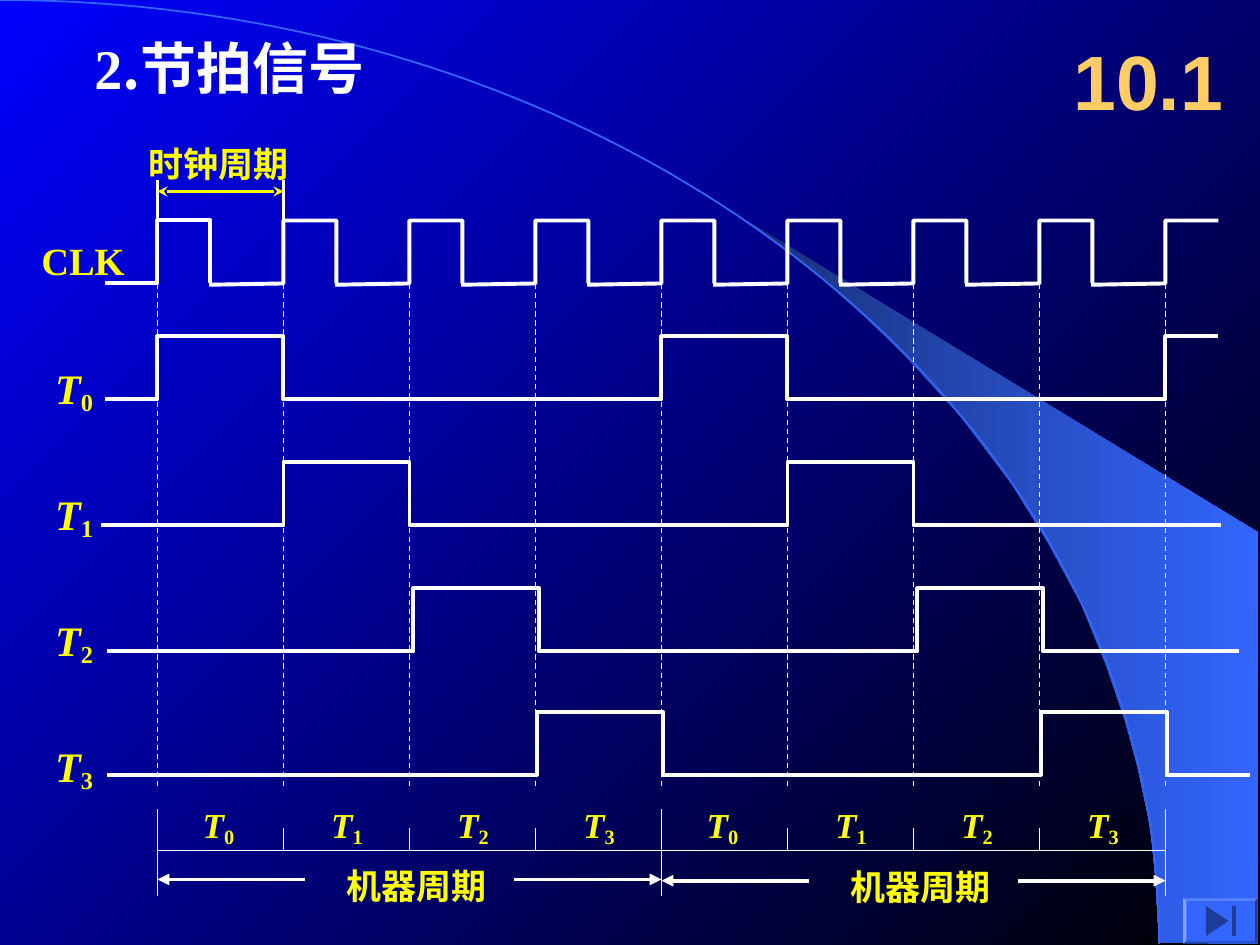
"""Build the beat signal timing slide on a grid with one column per clock cycle."""
from lxml.etree import SubElement
from pptx import Presentation
from pptx.dml.color import RGBColor
from pptx.enum.dml import MSO_LINE
from pptx.enum.shapes import MSO_CONNECTOR, MSO_SHAPE
from pptx.enum.text import MSO_ANCHOR
from pptx.oxml.ns import qn
from pptx.util import Inches, Pt

WHITE = RGBColor(0xFF, 0xFF, 0xFF)
YELLOW = RGBColor(0xFF, 0xFF, 0x00)
GOLD = RGBColor(0xFF, 0xCC, 0x66)
BLUE = RGBColor(0x00, 0x00, 0xFF)
BLACK = RGBColor(0x00, 0x00, 0x00)
SKY = RGBColor(0x33, 0x66, 0xFF)
NAVY = RGBColor(0x18, 0x2F, 0x76)
LATIN = "Times New Roman"
CHINESE = "Noto Sans CJK SC"
CELL = Inches(1)
ORIGIN = 1.25
CYCLES = 8
BEATS = 4
END = ORIGIN + CYCLES

deck = Presentation()
deck.slide_width, deck.slide_height = int(10 * CELL), int(7.5 * CELL)
slide = deck.slides.add_slide(deck.slide_layouts[6])
shapes = slide.shapes


def add_label(left, top, width, height, parts, size, color=YELLOW, font=LATIN):
    label = shapes.add_textbox(*(int(side * CELL) for side in (left, top, width, height)))
    label.text_frame.word_wrap = False
    paragraph = label.text_frame.paragraphs[0]
    for part in parts:
        run = paragraph.add_run()
        run.text = part
        run.font.name, run.font.size, run.font.bold = font, Pt(size), True
        run.font.color.rgb = color
        SubElement(run._r.get_or_add_rPr(), qn("a:ea"), typeface=CHINESE)
    if parts[0] == "T":
        symbol, index = paragraph.runs
        symbol.font.italic = True
        index._r.get_or_add_rPr().set("baseline", "-15000")
    return label


def add_rule(x1, y1, x2, y2, weight, color=WHITE, dash=None, head=None, tail=None):
    ends = (int(value * CELL) for value in (x1, y1, x2, y2))
    rule = shapes.add_connector(MSO_CONNECTOR.STRAIGHT, *ends)
    rule.line.color.rgb, rule.line.width = color, Pt(weight)
    if dash:
        rule.line.dash_style = dash
    for tag, arrow in (("a:headEnd", head), ("a:tailEnd", tail)):
        if arrow:
            SubElement(rule.line._get_or_add_ln(), qn(tag), type=arrow)
    SubElement(rule._element.spPr, qn("a:effectLst"))


beam_points = [
    (9.2, 7.48), (9.99, 7.49), (9.99, 4.23), (5.89, 1.73), (6.24, 1.99), (6.53, 2.22),
    (6.85, 2.5), (7.16, 2.8), (7.62, 3.3), (8.03, 3.84), (8.32, 4.31), (8.58, 4.79),
    (8.78, 5.28), (8.93, 5.72), (9.03, 6.09), (9.13, 6.56), (9.17, 6.96), (9.2, 7.48),
]

STEPS = 80
arc = []
for step in range(STEPS + 1):
    t = step / STEPS
    u = 1 - t
    arc.append((3 * u * u * t * 5.08 + (3 * u * t * t + t ** 3) * 9.2,
                3 * u * t * t * 3.35 + t ** 3 * 7.49))
traces = [(beam_points, SKY, 0), (arc, SKY, 1)]

beat_rows = [(3.17, 0.83, 9.67, 0), (4.17, 0.8, 9.69, 0),
             (5.17, 0.85, 9.83, 0.03), (6.15, 0.85, 9.92, 0.01)]
for beat, (low, start, stop, shift) in enumerate(beat_rows):
    wave = [(start, low)]
    for cycle in range(beat, CYCLES + 1, BEATS):
        rise = ORIGIN + cycle + shift
        wave += [(rise, low), (rise, low - 0.5)]
        if rise + 1 < stop:
            wave += [(rise + 1, low - 0.5), (rise + 1, low)]
    wave.append((stop, wave[-1][1]))
    traces.append((wave, WHITE, 2.25))

for cycle in range(CYCLES + 1):
    rise = ORIGIN + cycle
    start = (rise - 0.59, 2.26) if cycle else (0.83, 2.25)
    pulse = [start, (rise, 2.25), (rise, 1.75), (rise + 0.42, 1.75)]
    if cycle < CYCLES:
        pulse.append((rise + 0.42, 2.25))
    traces.append((pulse, WHITE, 2.25))

gradients = [(slide.background.fill, 315, (BLUE, BLACK))]
for points, color, weight in traces:
    corners = [(int(x * CELL), int(y * CELL)) for x, y in points]
    outline = shapes.build_freeform(*corners[0])
    outline.add_line_segments(corners[1:], close=not weight)
    trace = outline.convert_to_shape()
    trace.shadow.inherit = False
    if weight:
        trace.fill.background()
        trace.line.color.rgb, trace.line.width = color, Pt(weight)
    else:
        trace.line.fill.background()
        gradients.append((trace.fill, 0, (NAVY, color)))

for fill, angle, colors in gradients:
    fill.gradient()
    fill.gradient_angle = angle
    for stop, position, color in zip(fill.gradient_stops, (0, 1), colors):
        stop.position, stop.color.rgb = position, color

title = add_label(0.65, 0.22, 3.93, 0.64, ("2", ".节拍信号"), 32, WHITE)
title.text_frame.paragraphs[0].runs[1].font.name = CHINESE
section = add_label(8.42, 0.17, 1.58, 0.92, ("10.1",), 44, GOLD, "Arial")
section.text_frame.vertical_anchor = MSO_ANCHOR.MIDDLE

add_label(0.23, 1.83, 0.86, 0.47, ("CLK",), 22)
for beat in range(BEATS):
    add_label(0.34, 2.83 + beat, 0.5, 0.52, ("T", str(beat)), 24)

add_label(1.08, 1.08, 1.31, 0.44, ("时钟周期",), 20)
for edge in (ORIGIN, ORIGIN + 1):
    add_rule(edge, 1.43, edge, 1.77, 1.5)
add_rule(ORIGIN, 1.52, ORIGIN + 1, 1.52, 1.5, YELLOW, head="stealth", tail="stealth")

add_rule(ORIGIN, 6.75, END, 6.75, 0.75)
for cycle in range(CYCLES + 1):
    x = ORIGIN + cycle
    add_rule(x, 1.97, x, 6.25, 0.75, dash=MSO_LINE.DASH)
    top, bottom = (6.57, 6.75) if cycle % BEATS else (6.42, 7.11)
    add_rule(x, top, x, bottom, 0.75)
    if cycle < CYCLES:
        left = x + (0.28 if cycle % BEATS else 0.26)
        add_label(left, 6.33, 0.45, 0.45, ("T", str(cycle % BEATS)), 20)

for left, y in ((ORIGIN, 6.98), (ORIGIN + BEATS, 6.99)):
    right = left + BEATS
    add_rule(right - 1.17, y, right, y, 2.25, tail="triangle")
    add_rule(left + 1.17, y, left, y, 2.25, tail="triangle")
    add_label(left + 1.4, y - 0.17, 1.31, 0.44, ("机器周期",), 20)

button_layers = [(MSO_SHAPE.BEVEL, (9.39, 7.13, 0.59, 0.36)),
                 (MSO_SHAPE.ACTION_BUTTON_END, (9.42, 7.15, 0.54, 0.32))]
for preset, box in button_layers:
    layer = shapes.add_shape(preset, *(int(side * CELL) for side in box))
    layer.shadow.inherit = False
    layer.fill.solid()
    layer.fill.fore_color.rgb = SKY
    layer.line.fill.background()
    if preset == MSO_SHAPE.BEVEL:
        layer.adjustments[0] = 0.07

deck.save("out.pptx")
